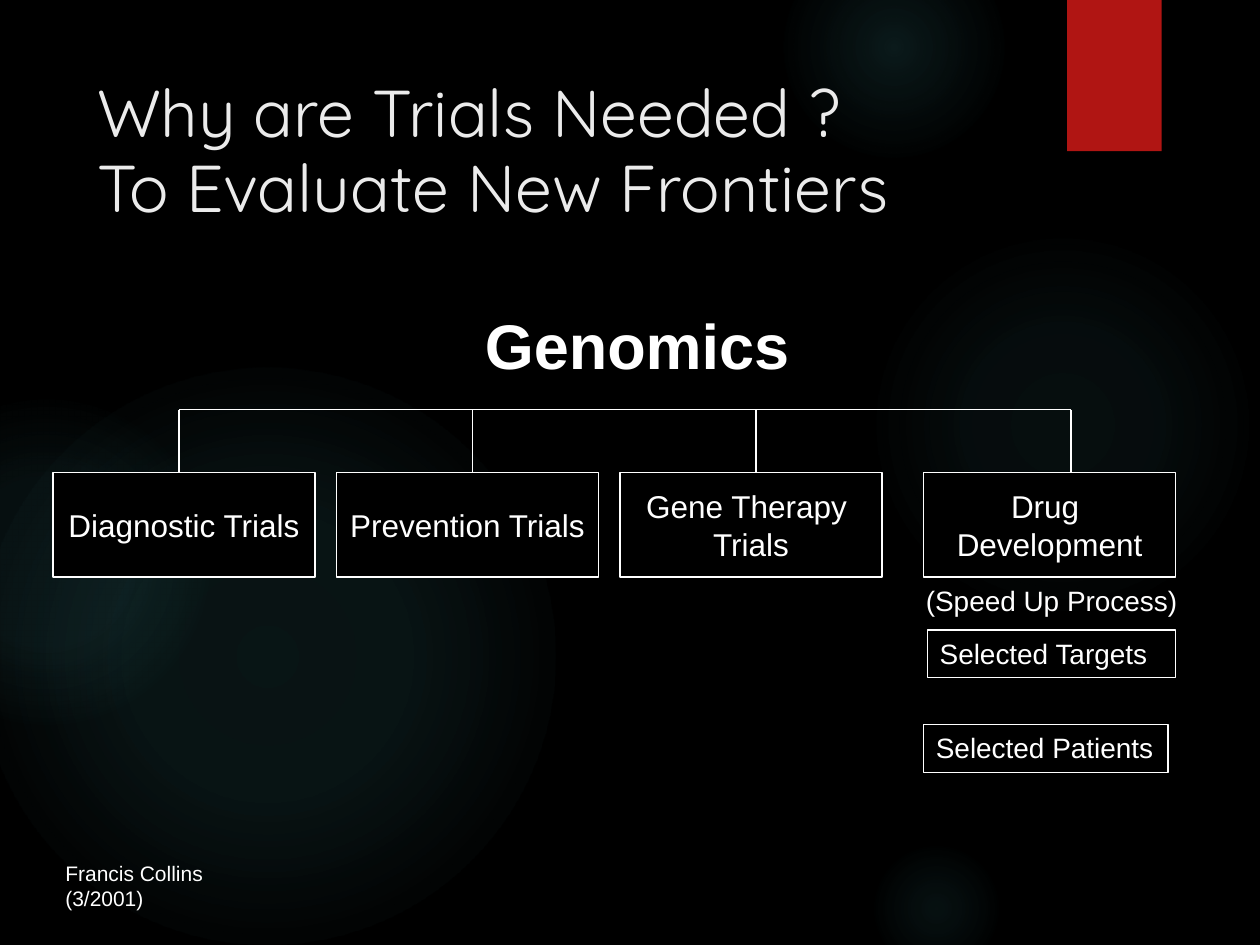
from lxml import etree
from pptx import Presentation
from pptx.dml.color import RGBColor
from pptx.enum.shapes import MSO_CONNECTOR as Connector, MSO_SHAPE as Preset
from pptx.enum.text import MSO_ANCHOR as Anchor, PP_ALIGN as Align
from pptx.oxml import parse_xml
from pptx.oxml.ns import nsdecls, qn
from pptx.util import Inches, Pt

BLACK = RGBColor(0x00, 0x00, 0x00)
WHITE = RGBColor(0xFF, 0xFF, 0xFF)
TITLE_GREY = RGBColor(0xEB, 0xEB, 0xEB)
RED = RGBColor(0xB0, 0x15, 0x13)
TEAL = RGBColor(0x50, 0xB9, 0xC1)


class TrialsSlide:
    """Holds the slide and its style, with a method for each kind of element."""

    def __init__(self, deck):
        self.font = "Arial"
        self.line_width = Pt(0.75)
        self.slide = deck.slides.add_slide(deck.slide_layouts[5])
        self.shapes = self.slide.shapes
        self.slide.background.fill.solid()
        self.slide.background.fill.fore_color.rgb = BLACK

    def add_text_run(self, paragraph, text, size, color=WHITE, font=None, bold=False):
        run = paragraph.add_run()
        run.text = text
        run.font.size = Pt(size)
        run.font.name = font or self.font
        run.font.bold = bold
        run.font.color.rgb = color

    def fill_text(self, frame, lines, size, align=Align.LEFT, anchor=Anchor.TOP,
                  wrap=False, bold=False):
        frame.word_wrap = wrap
        frame.vertical_anchor = anchor
        for index, text in enumerate(lines):
            paragraph = frame.add_paragraph() if index else frame.paragraphs[0]
            paragraph.alignment = align
            self.add_text_run(paragraph, text, size, bold=bold)

    def shape(self, preset, place, fill=None, outlined=False):
        shape = self.shapes.add_shape(preset, *map(Inches, place))
        shape.shadow.inherit = False
        if fill is None:
            shape.fill.background()
        else:
            shape.fill.solid()
            shape.fill.fore_color.rgb = fill
        if outlined:
            shape.line.color.rgb = WHITE
            shape.line.width = self.line_width
        else:
            shape.line.fill.background()
        return shape

    def glow(self, left, top, size, stops):
        properties = self.shape(Preset.OVAL, (left, top, size, size))._element.spPr
        marks = "".join(
            f'<a:gs pos="{position * 1000}"><a:srgbClr val="{TEAL}">'
            f'<a:alpha val="{alpha * 1000}"/></a:srgbClr></a:gs>'
            for position, alpha in stops)
        gradient = parse_xml(
            f'<a:gradFill {nsdecls("a")} rotWithShape="1"><a:gsLst>{marks}</a:gsLst>'
            '<a:path path="circle"><a:fillToRect l="50000" t="50000" r="50000" '
            'b="50000"/></a:path></a:gradFill>')
        properties.replace(properties.find(qn("a:noFill")), gradient)

    def title(self, place, lines):
        title = self.shapes.title
        self.shapes._spTree.append(title._element)
        title.left, title.top, title.width, title.height = map(Inches, place)
        frame = title.text_frame
        frame.word_wrap = True
        frame.vertical_anchor = Anchor.MIDDLE
        paragraph = frame.paragraphs[0]
        paragraph.alignment = Align.LEFT
        paragraph.line_spacing = 0.95
        for index, text in enumerate(lines):
            if index:
                paragraph.add_line_break()
            self.add_text_run(paragraph, text, 37.8, TITLE_GREY, "Quicksand")

    def box(self, place, lines, size, fill=None, **layout):
        box = self.shape(Preset.RECTANGLE, place, fill, outlined=True)
        self.fill_text(box.text_frame, lines, size, **layout)

    def label(self, place, lines, size, **layout):
        label = self.shapes.add_textbox(*map(Inches, place))
        self.fill_text(label.text_frame, lines, size, **layout)

    def line(self, *ends):
        line = self.shapes.add_connector(Connector.STRAIGHT, *map(Inches, ends))
        line.line.color.rgb = WHITE
        line.line.width = self.line_width
        etree.SubElement(line._element.spPr, qn("a:effectLst"))


GLOWS = [
    (6.89, 1.83, 3.08, [(0, 7), (36, 6), (69, 0)]),
    (6.22, -0.5, 1.75, [(0, 14), (36, 7), (73, 0)]),
    (6.89, 6.67, 1.08, [(0, 9), (36, 5), (66, 0)]),
    (-0.17, 2.92, 4.58, [(0, 11), (36, 10), (75, 0)]),
    (-0.92, 3.17, 2.58, [(0, 8), (36, 8), (72, 0)]),
]
BRANCHES = [
    (0.42, 2.08, 1.42, ["Diagnostic Trials"]),
    (2.67, 2.08, 3.75, ["Prevention Trials"]),
    (4.92, 2.08, 6, ["Gene Therapy ", "Trials"]),
    (7.33, 2, 8.5, ["Drug ", "Development"]),
]
BAR_TOP, BRANCH_TOP = 3.25, 3.75

deck = Presentation()
deck.slide_width, deck.slide_height = Inches(10), Inches(7.5)
trials = TrialsSlide(deck)

for glow in GLOWS:
    trials.glow(*glow)
trials.shape(Preset.RECTANGLE, (8.47, 0, 0.75, 1.2), RED)
trials.title((0.67, 0.5, 7.92, 1.42),
             ["Why are Trials Needed ? ", "To Evaluate New Frontiers"])

trials.line(BRANCHES[0][2], BAR_TOP, BRANCHES[-1][2], BAR_TOP)
for left, width, stem, lines in BRANCHES:
    trials.box((left, BRANCH_TOP, width, 0.83), lines, 18, BLACK,
               align=Align.CENTER, anchor=Anchor.MIDDLE)
    trials.line(stem, BAR_TOP, stem, BRANCH_TOP)

trials.box((7.36, 5, 1.97, 0.38), ["Selected Targets"], 16, wrap=True)
trials.box((7.33, 5.75, 1.94, 0.38), ["Selected Patients"], 16)
trials.label((0.42, 6.78, 1.95, 0.5), ["Francis Collins", "(3/2001)"], 12, wrap=True)
trials.label((7.25, 4.58, 2.2, 0.37), ["(Speed Up Process)"], 16)
trials.label((3.75, 2.38, 2.62, 0.7), ["Genomics"], 36, bold=True)

deck.save("out.pptx")
